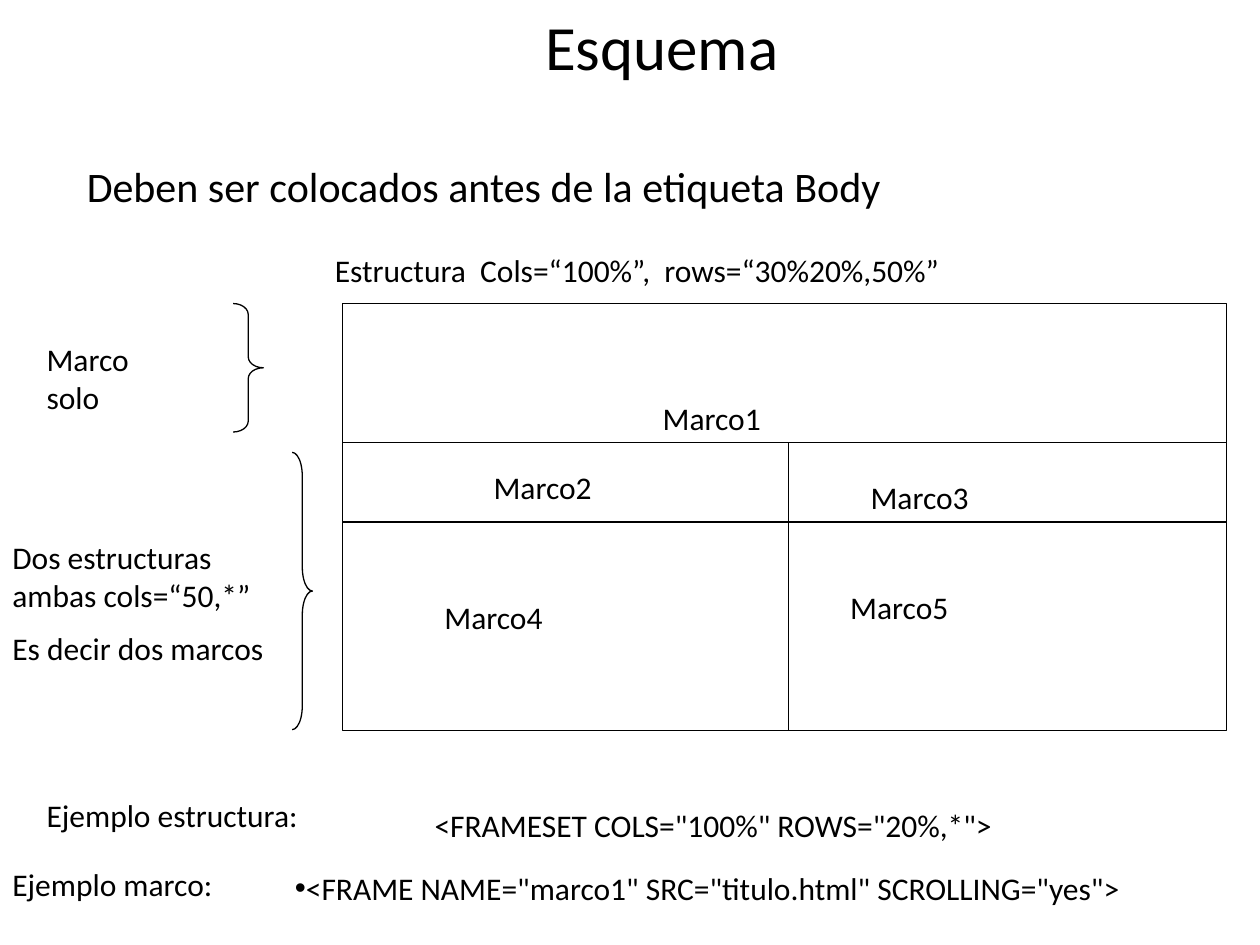
from dataclasses import dataclass

from lxml import etree
from pptx import Presentation
from pptx import util as u
from pptx.dml import color
from pptx.enum import shapes, text
from pptx.oxml import ns

BLACK = "000000"
WHITE = "FFFFFF"
FONT = "Calibri"


@dataclass(frozen=True)
class Box:
    left: float
    top: float
    width: float
    height: float

    def lengths(self) -> tuple:
        return tuple(u.Cm(n) for n in (self.left, self.top, self.width, self.height))


@dataclass(frozen=True)
class Label:
    wording: str
    box: Box
    size: int = 18


@dataclass(frozen=True)
class Brace:
    box: Box
    curve: float


@dataclass(frozen=True)
class Divider:
    start: tuple[float, float]
    end: tuple[float, float]


def rgb(value: str) -> color.RGBColor:
    return color.RGBColor.from_string(value)


def write(shape, wording: str, *, size: int = 18, align=text.PP_ALIGN.LEFT,
          anchor=text.MSO_ANCHOR.TOP, fit=text.MSO_AUTO_SIZE.SHAPE_TO_FIT_TEXT,
          line_spacing: float = 1.0) -> None:
    frame = shape.text_frame
    frame.text = wording
    frame.word_wrap = True
    frame.auto_size = fit
    frame.vertical_anchor = anchor
    for index, paragraph in enumerate(frame.paragraphs):
        paragraph.alignment = align
        paragraph.line_spacing = line_spacing
        paragraph.space_before = u.Pt(size / 2 if index else 0)
        for run in paragraph.runs:
            run.font.name = FONT
            run.font.size = u.Pt(size)
            run.font.color.rgb = rgb(BLACK)


def place(shape, box: Box) -> None:
    shape.left, shape.top, shape.width, shape.height = box.lengths()


def outline(shape) -> None:
    shape.line.color.rgb = rgb(BLACK)
    shape.line.width = u.Pt(0.75)


def draw_label(canvas, label: Label) -> None:
    write(canvas.add_textbox(*label.box.lengths()), label.wording, size=label.size)


def draw_panel(canvas, box: Box) -> None:
    panel = canvas.add_shape(shapes.MSO_SHAPE.RECTANGLE, *box.lengths())
    panel.shadow.inherit = False
    panel.fill.solid()
    panel.fill.fore_color.rgb = rgb(WHITE)
    outline(panel)


def draw_brace(canvas, brace: Brace) -> None:
    shape = canvas.add_shape(shapes.MSO_SHAPE.RIGHT_BRACE, *brace.box.lengths())
    shape.adjustments[0] = brace.curve
    shape.adjustments[1] = 0.5
    shape.shadow.inherit = False
    shape.fill.background()
    outline(shape)


def draw_divider(canvas, divider: Divider) -> None:
    ends = [u.Cm(n) for n in divider.start + divider.end]
    line = canvas.add_connector(shapes.MSO_CONNECTOR.STRAIGHT, *ends)
    outline(line)
    etree.SubElement(line._element.spPr, ns.qn("a:effectLst"))


def add_bullet(paragraph) -> None:
    properties = paragraph._p.get_or_add_pPr()
    properties.set("marL", "0")
    properties.set("indent", "0")
    etree.SubElement(properties, ns.qn("a:buChar")).set("char", "•")


LEFT, MIDDLE, RIGHT = 6.91, 15.9, 24.72
TOP, SECOND_ROW, THIRD_ROW, BOTTOM = 6.12, 8.92, 10.52, 14.73

PANELS = [
    Box(LEFT, TOP, RIGHT - LEFT, BOTTOM - TOP),
    Box(LEFT, SECOND_ROW, RIGHT - LEFT, THIRD_ROW - SECOND_ROW),
]
DIVIDERS = [
    Divider((LEFT, THIRD_ROW), (RIGHT, THIRD_ROW)),
    Divider((MIDDLE, THIRD_ROW), (MIDDLE, BOTTOM)),
    Divider((MIDDLE, SECOND_ROW), (MIDDLE, THIRD_ROW)),
]
FRAME_LABELS = [
    Label("Marco1", Box(13.11, 7.92, 5.21, 1.02)),
    Label("Marco2", Box(9.7, 9.32, 4.39, 1.02)),
    Label("Marco3", Box(17.3, 9.52, 4.19, 1.02)),
    Label("Marco4", Box(8.71, 11.94, 4.01, 1.02)),
    Label("Marco5", Box(16.89, 11.73, 5, 1.02)),
]
BRACES = [
    Brace(Box(4.7, 6.12, 0.61, 2.59), 0.36),
    Brace(Box(5.89, 9.12, 0.41, 5.59), 1.18),
]
NOTES = [
    Label("Estructura  Cols=“100%”,  rows=“30%20%,50%”", Box(6.5, 4.93, 15.19, 1.02)),
    Label("Marco solo", Box(0.69, 6.73, 2.59, 1.78)),
    Label("Dos estructuras ambas cols=“50,*”\nEs decir dos marcos", Box(0, 10.72, 5.79, 3.68)),
    Label('<FRAMESET COLS="100%" ROWS="20%,*">', Box(8.51, 16.13, 16.21, 1.02)),
    Label("Ejemplo estructura:", Box(0.69, 15.93, 7.21, 1.02)),
    Label("Ejemplo marco:", Box(0, 17.32, 5.69, 1.02)),
    Label("Deben ser colocados antes de la etiqueta Body", Box(1.5, 3.12, 23.01, 1.27), 24),
]

presentation = Presentation()
presentation.slide_width = u.Cm(25.4)
presentation.slide_height = u.Cm(19.05)
slide = presentation.slides.add_slide(presentation.slide_layouts[1])
slide.background.fill.solid()
slide.background.fill.fore_color.rgb = rgb(WHITE)

title = slide.shapes.title
place(title, Box(1.91, 0.71, 22.86, 1.8))
write(title, "Esquema", size=36, align=text.PP_ALIGN.CENTER,
      anchor=text.MSO_ANCHOR.MIDDLE, fit=text.MSO_AUTO_SIZE.NONE)
title.text_frame.margin_top = 0
title.text_frame.margin_bottom = u.Cm(1.4)

frame_example = slide.placeholders[1]
place(frame_example, Box(5.69, 17.53, 19.71, 0.86))
write(frame_example, '<FRAME NAME="marco1" SRC="titulo.html" SCROLLING="yes">',
      line_spacing=0.8)
add_bullet(frame_example.text_frame.paragraphs[0])

diagram = slide.shapes.add_group_shape().shapes
for panel_box in PANELS:
    draw_panel(diagram, panel_box)
for frame_divider in DIVIDERS:
    draw_divider(diagram, frame_divider)
for frame_label in FRAME_LABELS:
    draw_label(diagram, frame_label)
for row_brace in BRACES:
    draw_brace(slide.shapes, row_brace)
for note in NOTES:
    draw_label(slide.shapes, note)

presentation.save("out.pptx")
